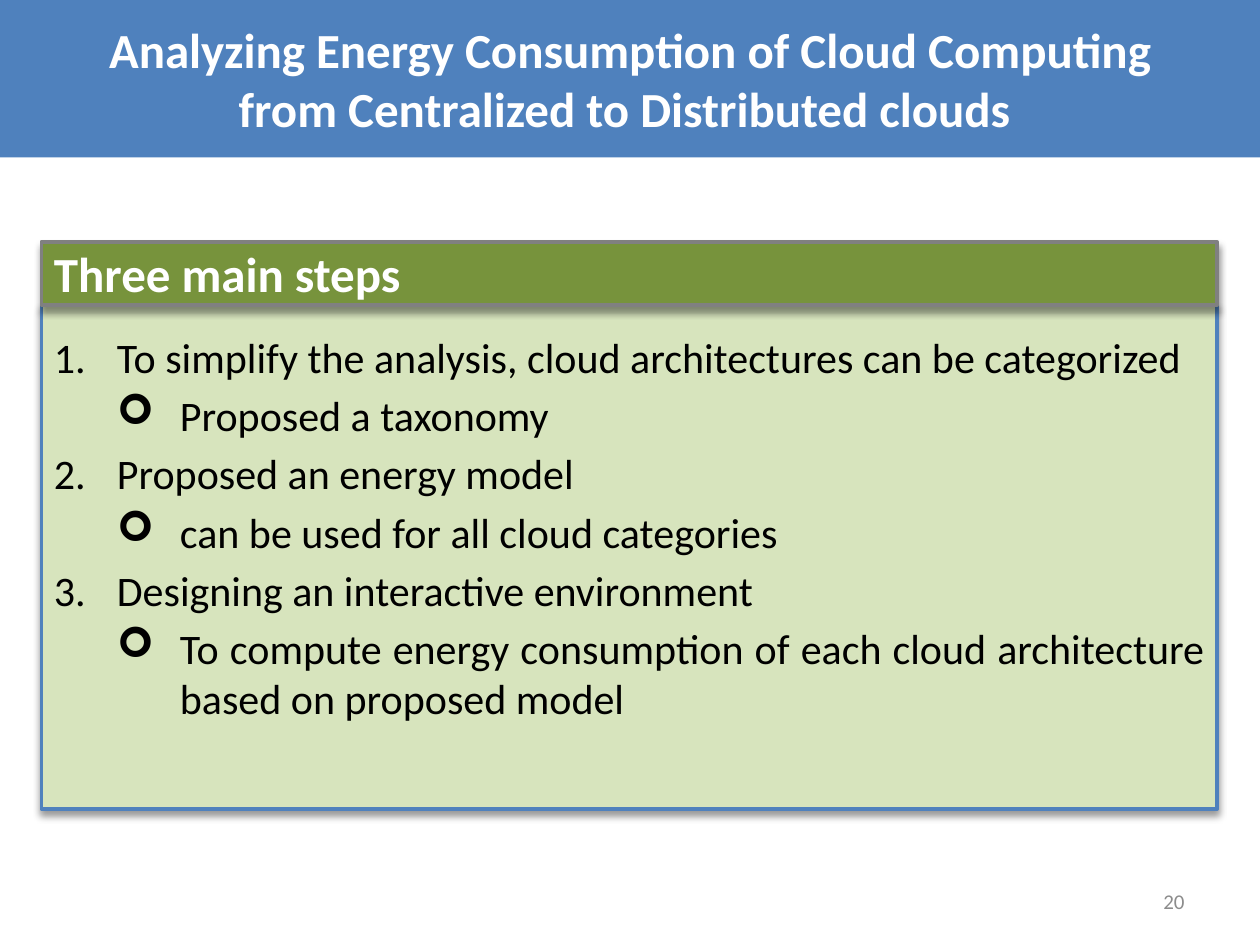
from lxml.etree import SubElement
from pptx import Presentation
from pptx.dml.color import RGBColor
from pptx.enum.shapes import MSO_SHAPE as Shape
from pptx.enum.text import MSO_ANCHOR as Anchor, PP_ALIGN as Align
from pptx.oxml.ns import qn
from pptx.util import Inches, Pt

BLUE = RGBColor(0x4F, 0x81, 0xBD)
PALE = RGBColor(0xD7, 0xE4, 0xBD)
GREEN = RGBColor(0x77, 0x93, 0x3C)
GRAY = RGBColor(0x80, 0x80, 0x80)
SILVER = RGBColor(0x8C, 0x8C, 0x8C)
WHITE = RGBColor(0xFF, 0xFF, 0xFF)
BLACK = RGBColor(0, 0, 0)

TITLE = [
    "Analyzing Energy Consumption of Cloud Computing",
    "from Centralized to Distributed clouds ",
]
STEPS = [
    ("To simplify the analysis, cloud architectures can be categorized",
     "Proposed a taxonomy"),
    ("Proposed an energy model ",
     "can be used for all cloud categories"),
    ("Designing an interactive environment ",
     "To compute energy consumption of each cloud architecture "
     "based on proposed model"),
]


def write(para, text, size=24, color=BLACK, bold=False, align=Align.JUSTIFY,
          font="Calibri", before=0):
    para.alignment = align
    para.space_before = Pt(before)
    run = para.add_run()
    run.text = text
    run.font.name = font
    run.font.size = Pt(size)
    run.font.bold = bold
    run.font.color.rgb = color


def mark(para, level):
    para.level = level
    props = para._p.get_or_add_pPr()
    props.set("marL", str(Inches(0.5 * (level + 1))))
    props.set("indent", str(Inches(-0.5)))
    if level:
        SubElement(props, qn("a:buFont"), typeface="Wingdings")
        SubElement(props, qn("a:buChar"), char="➢")
    else:
        SubElement(props, qn("a:buFont"), typeface="+mj-lt")
        SubElement(props, qn("a:buAutoNum"), type="arabicPeriod")


def shade(shape):
    effects = shape._element.spPr.find(qn("a:effectLst"))
    outer = SubElement(effects, qn("a:outerShdw"), blurRad=str(Pt(4)),
                       dist=str(Pt(3)), dir="5400000", rotWithShape="0")
    tone = SubElement(outer, qn("a:srgbClr"), val="000000")
    SubElement(tone, qn("a:alpha"), val="40000")


class Deck:
    def __init__(self, file, **style):
        self.slide = file.slides.add_slide(file.slide_layouts[6])
        self.style = style

    def rect(self, left, top, width, height, fill, line=None):
        box = self.slide.shapes.add_shape(
            Shape.RECTANGLE, Inches(left), Inches(top),
            Inches(width), Inches(height))
        box.shadow.inherit = False
        box.fill.solid()
        box.fill.fore_color.rgb = fill
        if line is None:
            box.line.fill.background()
        else:
            box.line.color.rgb = line
            box.line.width = Pt(2.25)
            shade(box)
        return self.frame(box)

    def label(self, left, top, width, height):
        return self.frame(self.slide.shapes.add_textbox(
            Inches(left), Inches(top), Inches(width), Inches(height)))

    def frame(self, box):
        frame = box.text_frame
        frame.word_wrap = True
        frame.vertical_anchor = Anchor.MIDDLE
        return frame

    def fill(self, frame, lines, **format):
        for index, (text, level) in enumerate(lines):
            para = frame.add_paragraph() if index else frame.paragraphs[0]
            write(para, text, **{**self.style, **format})
            if level is not None:
                mark(para, level)


def main():
    file = Presentation()
    file.slide_width, file.slide_height = Inches(10), Inches(7.5)
    deck = Deck(file, font="Calibri")

    banner = deck.rect(0, 0, 10, 1.25, BLUE)
    deck.fill(banner, [(text, None) for text in TITLE],
              size=28, color=WHITE, bold=True, align=Align.CENTER)

    body = deck.rect(0.33, 2.42, 9.33, 4, PALE, BLUE)
    body.margin_bottom = Inches(0.52)
    deck.fill(body, [(text, level) for step in STEPS
                     for level, text in enumerate(step)], before=4.5)

    number = deck.label(7.17, 6.95, 2.33, 0.4)
    deck.fill(number, [("20", None)], size=12, color=SILVER, align=Align.RIGHT)

    head = deck.rect(0.33, 1.92, 9.33, 0.5, GREEN, GRAY)
    deck.fill(head, [("Three main steps", None)],
              size=28, color=WHITE, bold=True, before=5.3)

    file.save("out.pptx")


if __name__ == "__main__":
    main()
